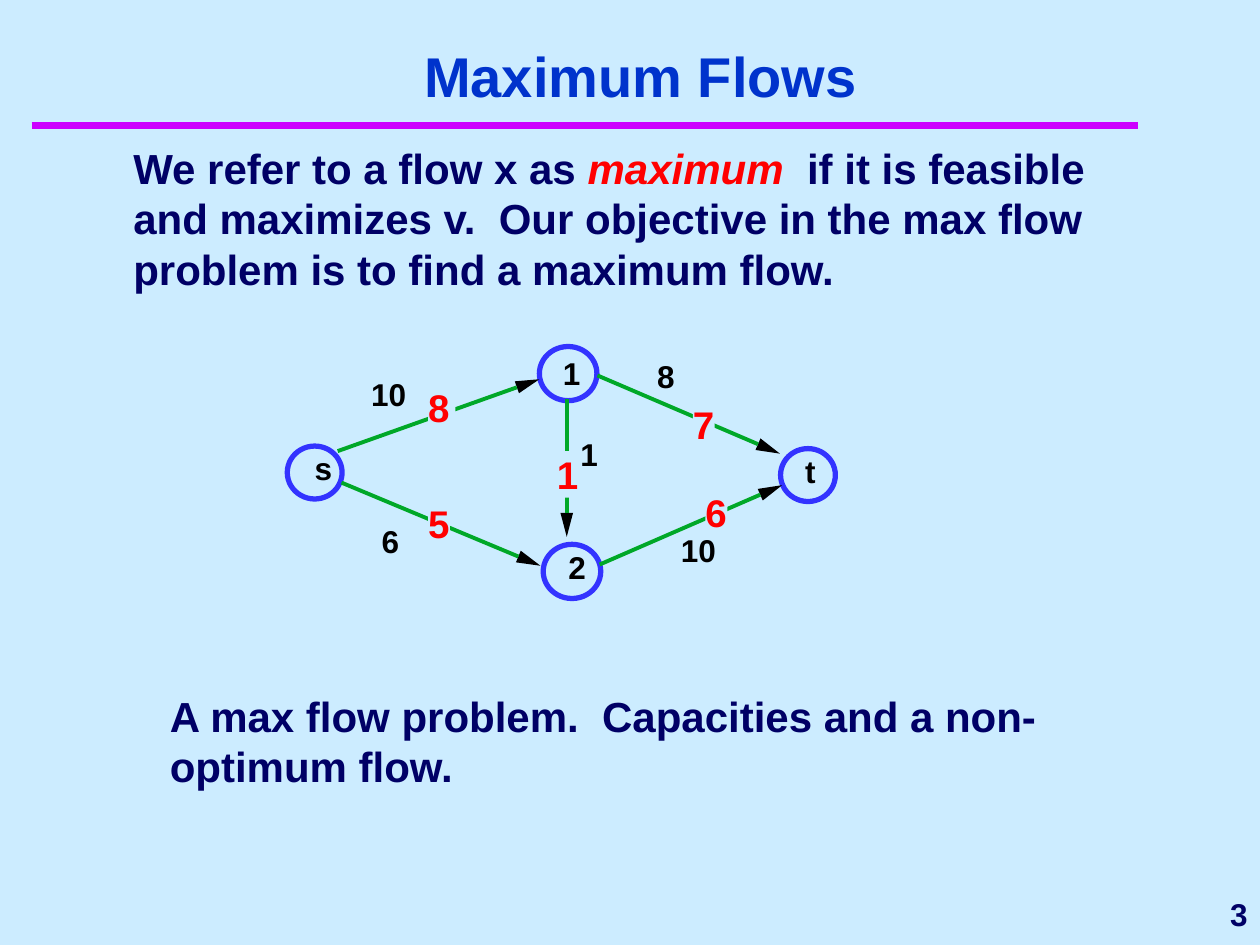
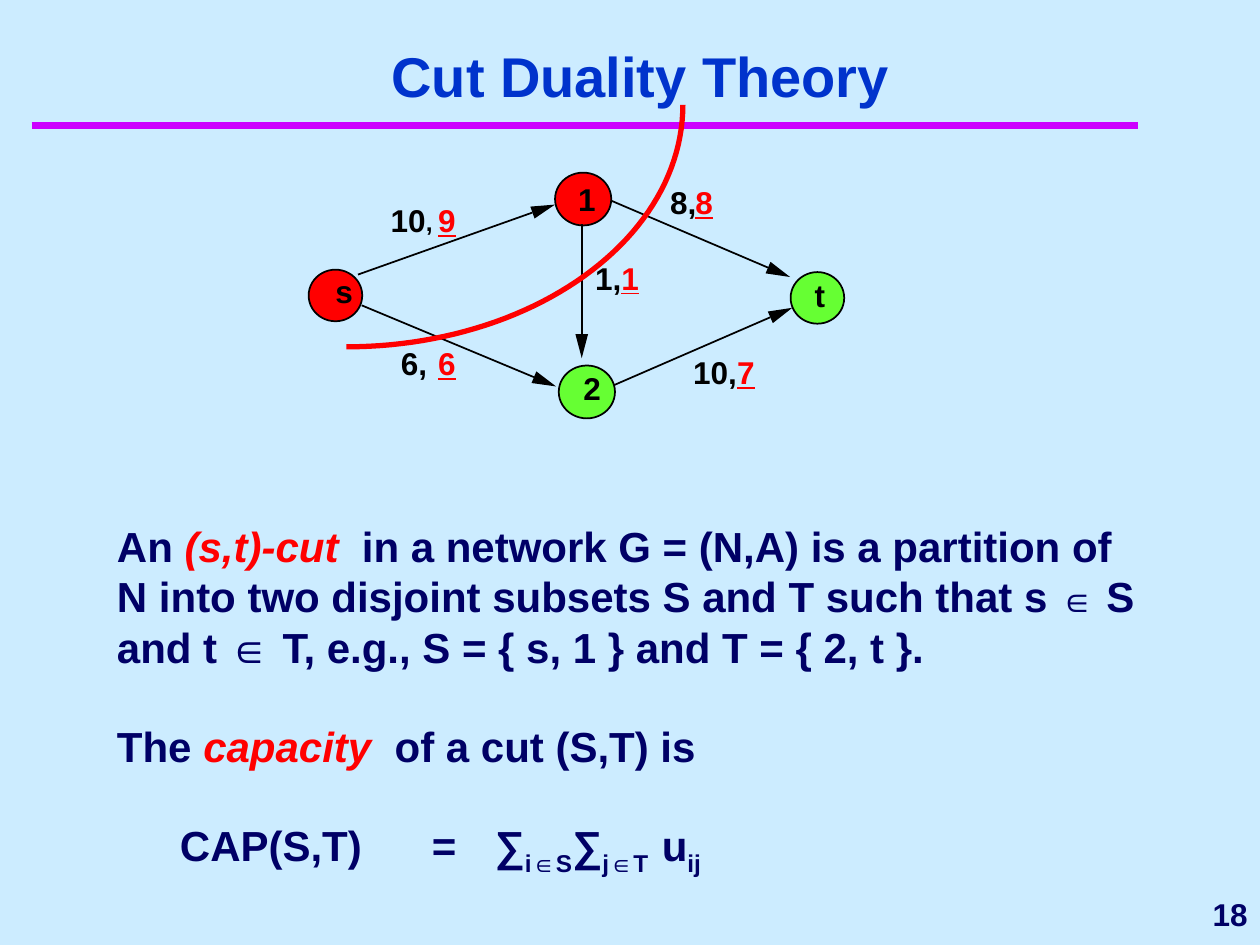
import dataclasses
import math

import lxml.etree
import pptx
import pptx.dml.color
import pptx.enum.shapes
import pptx.enum.text
import pptx.oxml.ns
import pptx.util

RGB = pptx.dml.color.RGBColor
SKY = RGB(0xCC, 0xEC, 0xFF)
NAVY = RGB(0x00, 0x00, 0x66)
TITLE_BLUE = RGB(0x00, 0x33, 0xCC)
RULE_PURPLE = RGB(0xCC, 0x00, 0xFF)
NODE_BLUE = RGB(0x33, 0x33, 0xFF)
ARC_GREEN = RGB(0x00, 0xA8, 0x28)
CUT_GREEN = RGB(0x66, 0xFF, 0x33)
RED = RGB(0xFF, 0x00, 0x00)
BLACK = RGB(0x00, 0x00, 0x00)

LEFT, CENTER, RIGHT = (pptx.enum.text.PP_ALIGN.LEFT, pptx.enum.text.PP_ALIGN.CENTER,
                       pptx.enum.text.PP_ALIGN.RIGHT)
TOP, MIDDLE, BOTTOM = (pptx.enum.text.MSO_ANCHOR.TOP, pptx.enum.text.MSO_ANCHOR.MIDDLE,
                       pptx.enum.text.MSO_ANCHOR.BOTTOM)
PRESET = pptx.enum.shapes.MSO_SHAPE
PADDING = (0.1, 0.05)
NO_PADDING = (0, 0)


def text_style(size, color, **extra):
    return {"name": "Arial", "bold": True, "size": pptx.util.Pt(size), "color": color, **extra}


TITLE = text_style(32, TITLE_BLUE)
BODY = text_style(24, NAVY)
TERM = text_style(24, RED, italic=True)
MEMBER = text_style(20, NAVY)
SUBSCRIPT = text_style(24, NAVY, baseline=-25000)
PAGE_NUMBER = text_style(18, NAVY)
LABEL = text_style(18, BLACK)
SMALL_LABEL = text_style(14, BLACK)
FLOW = text_style(22, RED)
CUT_FLOW = text_style(18, RED, underline=True)


@dataclasses.dataclass
class Box:
    left: float
    top: float
    width: float
    height: float

    def point(self, across, down):
        return self.left + self.width * across / 100, self.top + self.height * down / 100

    def area(self, across, down, width, height):
        return Box(*self.point(across, down), self.width * width / 100, self.height * height / 100)

    def emu(self):
        return [pptx.util.Inches(value) for value in dataclasses.astuple(self)]


SLIDE = Box(0, 0, 10, 7.5)

NODES = {
    "s": ((0, 39.5, 10, 21), (5, 40.5)),
    "1": ((46, 0, 10.5, 21.5), (50.3, 3)),
    "2": ((46.7, 78.5, 10.5, 21.5), (51.3, 80)),
    "t": ((90, 40.5, 10, 21), (94.5, 42)),
}
ARCS = {
    "s1": ((9.2, 41.5), (46, 13)),
    "s2": ((9.9, 54), (46.2, 87)),
    "1t": ((56.6, 11.5), (89.9, 42.5)),
    "2t": ((57, 86.5), (90.3, 55)),
    "12": ((51, 21), (51, 75.5)),
}
CAPACITY_SPOTS = {"s1": (15.3, 11.5), "1t": (67.5, 4.3), "12": (53.5, 35),
                  "2t": (71.8, 73.4), "s2": (17.2, 69.8)}


def format_span(span, style):
    for name, value in style.items():
        if name == "color":
            span.font.color.rgb = value
        elif name == "baseline":
            span._r.get_or_add_rPr().set("baseline", str(value))
        else:
            setattr(span.font, name, value)


def write(shape, paragraphs, align=LEFT, anchor=TOP, padding=PADDING, wrap=True, **spacing):
    frame = shape.text_frame
    across, down = (pptx.util.Inches(value) for value in padding)
    settings = {"word_wrap": wrap, "vertical_anchor": anchor, "margin_left": across,
                "margin_right": across, "margin_top": down, "margin_bottom": down}
    for name, value in settings.items():
        setattr(frame, name, value)
    for index, spans in enumerate(paragraphs):
        para = frame.add_paragraph() if index else frame.paragraphs[0]
        para.alignment = align
        for name, value in spacing.items():
            setattr(para, name, value)
        for text, style in spans:
            span = para.add_run()
            span.text = text
            format_span(span, style)


def add_text(page, box, paragraphs, **layout):
    write(page.shapes.add_textbox(*box.emu()), paragraphs, **layout)


def add_label(page, spot, text, style=LABEL):
    box = Box(*spot, 0.14 * len(text), 0.3)
    add_text(page, box, [[(text, style)]], padding=NO_PADDING, wrap=False)


def paint(shape, fill=None, line=None, width=1):
    shape.shadow.inherit = False
    if fill is None:
        shape.fill.background()
    else:
        shape.fill.solid()
        shape.fill.fore_color.rgb = fill
    if line is None:
        shape.line.fill.background()
    else:
        shape.line.color.rgb = line
        shape.line.width = pptx.util.Pt(width)


def add_line(page, start, end, color, width):
    ends = [pptx.util.Inches(value) for value in (*start, *end)]
    line = page.shapes.add_connector(pptx.enum.shapes.MSO_CONNECTOR.STRAIGHT, *ends)
    line.line.color.rgb = color
    line.line.width = pptx.util.Pt(width)
    lxml.etree.SubElement(line._element.spPr, pptx.oxml.ns.qn("a:effectLst"))


def add_outline(page, points, close):
    first, *rest = [tuple(pptx.util.Inches(value) for value in point) for point in points]
    builder = page.shapes.build_freeform(*first)
    builder.add_line_segments(rest, close=close)
    return builder.convert_to_shape()


def add_arc(page, start, tip, color, width, head_length=0.19, head_half=0.05):
    run, rise = tip[0] - start[0], tip[1] - start[1]
    length = math.hypot(run, rise)
    run, rise = run / length, rise / length
    neck = tip[0] - head_length * run, tip[1] - head_length * rise
    corners = [(neck[0] - side * rise, neck[1] + side * run) for side in (head_half, -head_half)]
    paint(add_outline(page, [tip, *corners], close=True), fill=BLACK)
    add_line(page, start, neck, color, width)


def add_network(page, box, node_line, node_fills, arc_line, capacities):
    for name, (place, label_spot) in NODES.items():
        node = page.shapes.add_shape(PRESET.OVAL, *box.area(*place).emu())
        paint(node, node_fills.get(name), *node_line)
        add_label(page, box.point(*label_spot), name)
    for start, tip in ARCS.values():
        add_arc(page, box.point(*start), box.point(*tip), *arc_line)
    for arc, capacity in capacities.items():
        add_label(page, box.point(*CAPACITY_SPOTS[arc]), capacity)


def add_flow_chips(page, box, flows):
    for across, down, width, flow in flows:
        chip = page.shapes.add_shape(PRESET.RECTANGLE, *box.area(across, down, width, 18.5).emu())
        paint(chip, fill=SKY)
        write(chip, [[(flow, FLOW)]], padding=NO_PADDING)


def add_cut(page, box, steps=48):
    angles = [math.pi / 2 * (1 - step / steps) for step in range(steps + 1)]
    points = [box.point(100 * math.cos(angle), 100 * math.sin(angle)) for angle in angles]
    paint(add_outline(page, points, close=False), line=RED, width=3)


def add_page(deck, title, number):
    page = deck.slides.add_slide(deck.slide_layouts[6])
    page.background.fill.solid()
    page.background.fill.fore_color.rgb = SKY
    add_line(page, SLIDE.point(2.5, 13.33), SLIDE.point(90.3, 13.33), RULE_PURPLE, 4)
    add_text(page, SLIDE.area(80.8, 93.33, 19.2, 6.67), [[(number, PAGE_NUMBER)]],
             align=RIGHT, anchor=MIDDLE)
    add_text(page, SLIDE.area(4.2, 4.4, 93.3, 7.75), [[(title, TITLE)]],
             align=CENTER, anchor=BOTTOM)
    return page


def build_maximum_flows(deck):
    page = add_page(deck, "Maximum Flows", "3")
    add_text(page, SLIDE.area(9.6, 14.4, 80.7, 20), [[
        ("We refer to a flow x as ", BODY), ("maximum", TERM),
        ("  if it is feasible and maximizes v.  Our objective in the max flow problem "
         "is to find a maximum flow.", BODY)]], space_before=pptx.util.Pt(6))
    network = SLIDE.area(22.8, 36.67, 43.5, 26.67)
    add_network(page, network, (NODE_BLUE, 3), {}, (ARC_GREEN, 2.25),
                {"s1": "10", "1t": "8", "12": "1", "2t": "10", "s2": "6"})
    add_text(page, SLIDE.area(12.5, 72.4, 71.7, 12),
             [[("A max flow problem.  Capacities and a non-optimum flow.", BODY)]],
             space_before=pptx.util.Pt(15))
    add_flow_chips(page, network, [(25.7, 15, 5, "8"), (74, 21.5, 4, "7"), (49.2, 41.5, 4, "1"),
                                   (76.3, 56.5, 4, "6"), (25.7, 61, 4, "5")])


def build_cut_duality(deck):
    page = add_page(deck, "Cut Duality Theory", "18")
    network = SLIDE.area(24.5, 18.27, 42.5, 26)
    fills = {"s": RED, "1": RED, "2": CUT_GREEN, "t": CUT_GREEN}
    add_network(page, network, (BLACK, 1), fills, (BLACK, 1),
                {"s1": "10", "1t": "8,", "12": "1,", "2t": "10,", "s2": "6,"})
    add_label(page, network.point(21.9, 14), ",", SMALL_LABEL)
    for arc, across, flow in (("s1", 24.2, "9"), ("1t", 72.2, "8"), ("12", 58.4, "1"),
                              ("2t", 80, "7"), ("s2", 24.2, "6")):
        add_label(page, network.point(across, CAPACITY_SPOTS[arc][1]), flow, CUT_FLOW)
    add_cut(page, SLIDE.area(27.5, 11.1, 26.7, 25.6))
    definition = [
        ("An ", BODY), ("(s,t)-cut ", TERM),
        (" in a network G = (N,A) is a partition of N into two disjoint subsets S and T "
         "such that s ", BODY),
        ("∈", MEMBER), (" S and t ∈ T, e.g., S = { s, 1 } and T = { 2, t }.", BODY)]
    capacity = [("The ", BODY), ("capacity ", TERM), (" of a cut (S,T) is", BODY)]
    formula = [("\tCAP(S,T) \t= \t∑", BODY), ("i∈S", SUBSCRIPT), ("∑", BODY),
               ("j∈T  ", SUBSCRIPT), ("u", BODY), ("ij", SUBSCRIPT)]
    text = SLIDE.area(8.3, 54.4, 84.2, 39.5)
    add_text(page, text, [definition, capacity, formula], space_after=pptx.util.Pt(28))


def main():
    deck = pptx.Presentation()
    deck.slide_width = pptx.util.Inches(SLIDE.width)
    deck.slide_height = pptx.util.Inches(SLIDE.height)
    build_maximum_flows(deck)
    build_cut_duality(deck)
    deck.save("out.pptx")


if __name__ == "__main__":
    main()
